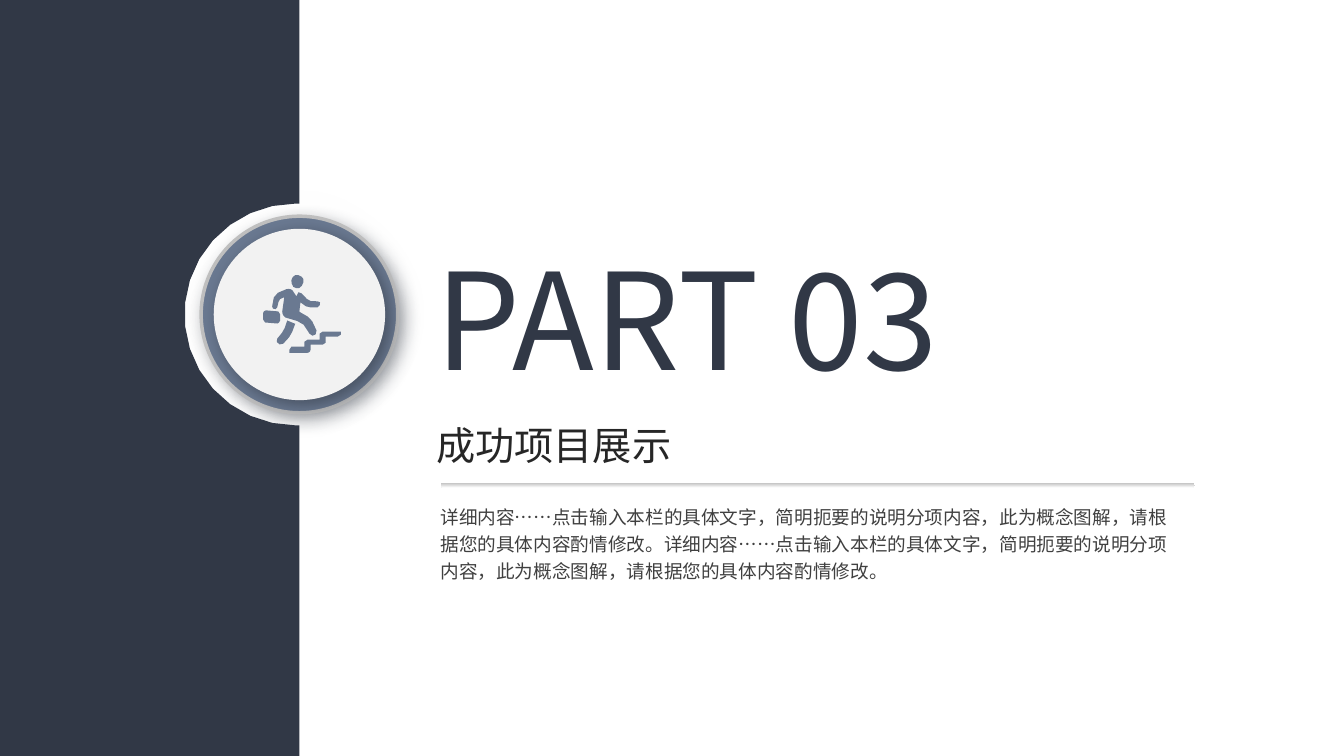
import math
from dataclasses import dataclass

import lxml.etree
import pptx
import pptx.dml.color
import pptx.enum.shapes
import pptx.enum.text
import pptx.oxml.ns
import pptx.util

PX = 9144  # EMU per px, 100 px to the inch
SLIDE_W, SLIDE_H = 1333, 750
OVAL = pptx.enum.shapes.MSO_SHAPE.OVAL
ALIGN = pptx.enum.text.PP_ALIGN


@dataclass(frozen=True)
class Theme:
    font: str = "Noto Sans CJK SC"
    navy: str = "313846"
    slate: str = "6A7991"
    rim: str = "BFBFBF"
    face: str = "F2F2F2"
    white: str = "FFFFFF"
    shade: str = "353C48"
    heading: str = "262626"
    body: str = "404040"
    part_size: float = 96
    heading_size: float = 28
    body_size: float = 13.3


THEME = Theme()

# Icon outlines in px: pairs are corners, sixes are Bézier curves
STAIRS = [
    [(28, 72), (41, 72), (41, 67), (41, 66, 42, 65, 44, 65), (56, 65), (56, 59),
     (56, 58, 57, 57, 59, 57), (77, 57), (77, 60), (77, 61, 75, 62, 74, 62),
     (62, 62), (62, 68), (62, 69, 60, 70, 59, 70), (47, 70), (47, 75),
     (47, 77, 45, 78, 44, 78), (26, 78), (26, 75), (26, 73, 27, 72, 28, 72)],
]
CLIMBER = [
    # Briefcase
    [(2, 48), (14, 49), (15, 49, 16, 48, 17, 46), (17, 40), (17, 39, 16, 37, 15, 37),
     (3, 36), (2, 36, 0, 37, 0, 39), (0, 45), (0, 47, 1, 48, 2, 48)],
    # Back leg
    [(14, 64), (20, 57, 21, 56, 24, 46), (26, 47, 29, 48, 31, 49), (32, 49),
     (28, 60, 28, 61, 20, 69), (17, 72, 11, 67, 14, 64)],
    # Head
    [(35, 1), (39, 2, 41, 5, 40, 8), (39, 12, 36, 15, 33, 14),
     (29, 14, 28, 9, 28, 6), (29, 2, 32, 0, 35, 1)],
    # Torso, arms and front leg
    [(35, 18), (35, 18, 37, 18, 38, 19), (46, 27, 44, 27, 54, 27),
     (58, 26, 57, 32, 54, 33), (45, 33, 44, 34, 37, 28), (36, 37),
     (36, 37, 36, 38, 37, 38), (46, 43, 48, 43, 53, 56), (54, 61, 48, 63, 46, 59),
     (39, 46, 38, 48, 22, 43), (20, 41, 19, 40, 19, 37), (21, 23),
     (15, 25, 16, 25, 14, 33), (14, 36, 8, 35, 9, 32), (10, 20, 12, 19, 23, 15),
     (25, 14, 28, 15, 29, 16), (33, 22), (35, 18)],
]


def rgb(colour):
    return pptx.dml.color.RGBColor.from_string(colour)


def px(*lengths):
    return [pptx.util.Emu(round(length * PX)) for length in lengths]


def paint(shape, *colours):
    """Fill with one colour, or with two from top to bottom; no line or shadow."""
    if len(colours) == 1:
        shape.fill.solid()
        shape.fill.fore_color.rgb = rgb(colours[0])
    else:
        shape.fill.gradient()
        shape.fill.gradient_angle = 270
        for stop, colour in zip(shape.fill.gradient_stops, colours):
            stop.color.rgb = rgb(colour)
    shape.line.fill.background()
    shape.shadow.inherit = False


def add_effect(shape, tag, **attributes):
    effects = shape._element.spPr.find(pptx.oxml.ns.qn("a:effectLst"))
    return lxml.etree.SubElement(effects, pptx.oxml.ns.qn(tag), attributes)


def add_shadow(shape, opacity):
    shadow = add_effect(shape, "a:outerShdw", blurRad=str(pptx.util.Pt(12)),
                        dist=str(pptx.util.Pt(5)), dir="2700000",
                        algn="tl", rotWithShape="0")
    tint = lxml.etree.SubElement(shadow, pptx.oxml.ns.qn("a:srgbClr"), val=THEME.shade)
    lxml.etree.SubElement(tint, pptx.oxml.ns.qn("a:alpha"), val=str(opacity * 1000))


def flatten(outline):
    """Turn short curves into one straight step and longer ones into three."""
    points = [outline[0]]
    for segment in outline[1:]:
        if len(segment) == 2:
            points.append(segment)
            continue
        x0, y0 = points[-1]
        x1, y1, x2, y2, x3, y3 = segment
        steps = 3 if math.hypot(x3 - x0, y3 - y0) > 4 else 1
        for step in range(1, steps + 1):
            t = step / steps
            a, b, c, d = (1 - t) ** 3, 3 * t * (1 - t) ** 2, 3 * t * t * (1 - t), t ** 3
            points.append((a * x0 + b * x1 + c * x2 + d * x3,
                           a * y0 + b * y1 + c * y2 + d * y3))
    return points


def add_outlines(slide, left, top, outlines, colour):
    contours = [[px(*point) for point in flatten(outline)] for outline in outlines]
    builder = slide.shapes.build_freeform(*contours[0][0], scale=1.0)
    for index, contour in enumerate(contours):
        if index:
            builder.move_to(*contour[0])
        builder.add_line_segments(contour[1:], close=True)
    shape = builder.convert_to_shape(*px(left, top))
    paint(shape, colour)


def add_disc(slide, centre_x, centre_y, diameter, *colours):
    corner = centre_x - diameter / 2, centre_y - diameter / 2
    disc = slide.shapes.add_shape(OVAL, *px(*corner, diameter, diameter))
    paint(disc, *colours)
    return disc


def add_badge(slide, centre_x, centre_y):
    # Soft halo
    halo = add_disc(slide, centre_x, centre_y, 261, THEME.white, THEME.rim)
    add_effect(halo, "a:softEdge", rad=str(pptx.util.Pt(25)))
    # Ring
    ring = add_disc(slide, centre_x, centre_y, 195, THEME.slate)
    ring.line.color.rgb = rgb(THEME.rim)
    ring.line.width = pptx.util.Pt(2.5)
    add_shadow(ring, 40)
    # Face
    face = add_disc(slide, centre_x, centre_y, 170, THEME.face)
    add_shadow(face, 64)


def add_side_panel(slide, left, top, width, height):
    """Dark panel with a round notch in its right edge."""
    notch_x, notch_y, radius = width - 4, 350, 110
    angles = [math.radians(degrees) for degrees in range(90, 271, 12)]
    notch = [(notch_x + radius * math.cos(angle), notch_y - radius * math.sin(angle))
             for angle in angles]
    outline = [(0, 0), (width, 0), (width, notch_y - radius), *notch,
               (width, notch_y + radius), (width, height), (0, height)]
    add_outlines(slide, left, top, [outline], THEME.navy)


def add_text(slide, box, words, size, colour, spacing=1.0, align=ALIGN.LEFT):
    frame = slide.shapes.add_textbox(*px(*box)).text_frame
    frame.word_wrap = True
    paragraph = frame.paragraphs[0]
    paragraph.text = words
    paragraph.alignment = align
    paragraph.line_spacing = spacing
    font = paragraph.font
    font.size = pptx.util.Pt(size)
    font.color.rgb = rgb(colour)
    font.name = THEME.font
    lxml.etree.SubElement(font._element, pptx.oxml.ns.qn("a:ea"), typeface=THEME.font)


def add_section_text(slide, left, top, width):
    # Rule
    rule = slide.shapes.add_shape(pptx.enum.shapes.MSO_SHAPE.ROUNDED_RECTANGLE,
                                  *px(left + 15, top + 250, 748, 5))
    rule.adjustments[0] = 0.5
    paint(rule, THEME.rim, THEME.white)
    # Part number, heading and details
    add_text(slide, (left, top, 525, 171), "PART 03", THEME.part_size, THEME.navy)
    add_text(slide, (left + 1, top + 184, 363, 57), "成功项目展示",
             THEME.heading_size, THEME.heading, align=ALIGN.JUSTIFY)
    details = "详细内容……点击输入本栏的具体文字，简明扼要的说明分项内容，此为概念图解，请根据您的具体内容酌情修改。"
    add_text(slide, (left + 5, top + 264, width - 3, 90), details * 2,
             THEME.body_size, THEME.body, spacing=1.2)


def add_section_slide(deck):
    slide = deck.slides.add_slide(deck.slide_layouts[6])
    add_badge(slide, 297, 312)
    add_side_panel(slide, 0, -38, 297, 811)
    add_section_text(slide, 422, 229, 762)
    # Climber icon
    for outlines in (STAIRS, CLIMBER):
        add_outlines(slide, 261, 272, outlines, THEME.slate)


def main():
    deck = pptx.Presentation()
    deck.slide_width, deck.slide_height = px(SLIDE_W, SLIDE_H)
    add_section_slide(deck)
    deck.save("out.pptx")


if __name__ == "__main__":
    main()
